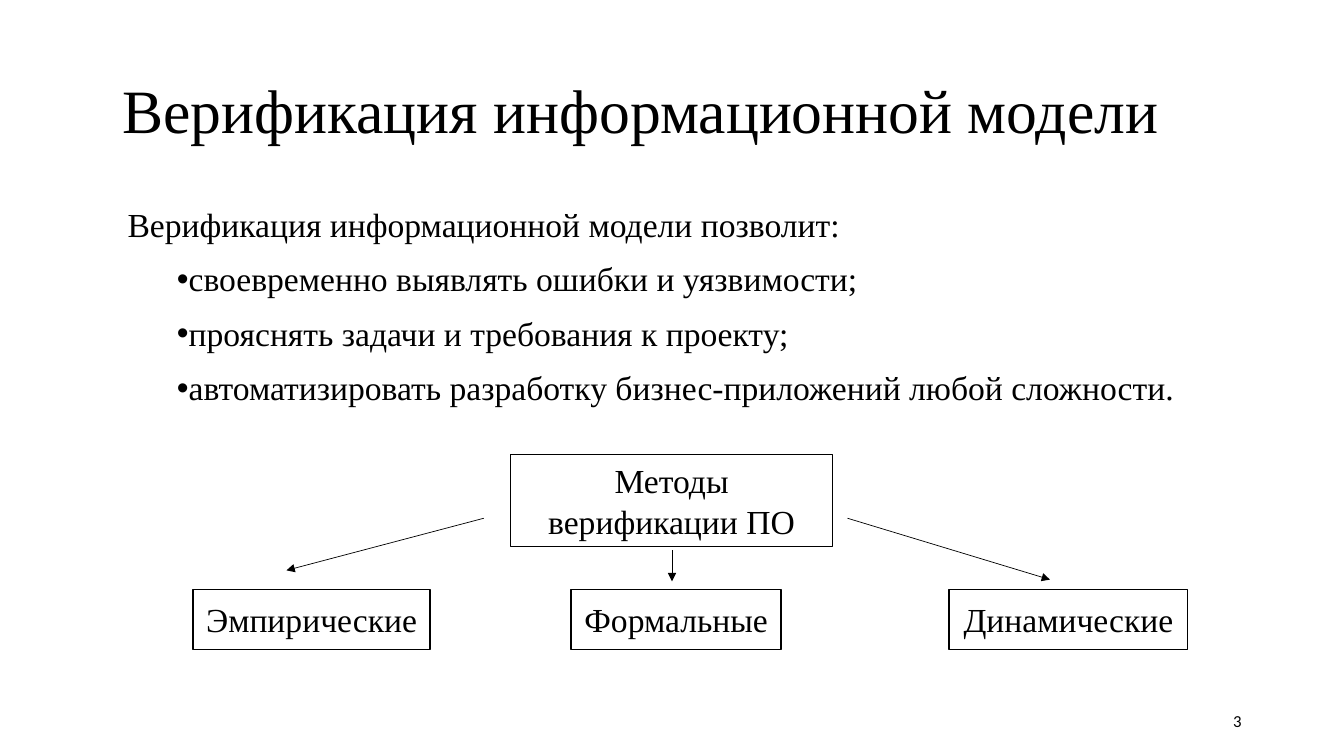
from dataclasses import dataclass

from lxml.etree import SubElement
from pptx import Presentation
from pptx.dml.color import RGBColor
from pptx.enum.shapes import MSO_CONNECTOR, MSO_SHAPE
from pptx.enum.text import MSO_ANCHOR, PP_ALIGN
from pptx.oxml.ns import qn
from pptx.util import Inches, Length, Pt

WIDE, HIGH = Inches(13.33), Inches(7.5)
COLS, ROWS = 160, 90
BLACK, WHITE = "000000", "FFFFFF"
SERIF, SANS = "Times New Roman", "Calibri"


@dataclass
class Area:
    col: float
    row: float
    cols: float
    rows: float


@dataclass
class Box:
    text: str
    area: Area


@dataclass
class Arrow:
    col: float
    row: float
    to_col: float
    to_row: float


TITLE = "Верификация информационной модели"
LEAD = "Верификация информационной модели позволит:"
GOALS = [
    "своевременно выявлять ошибки и уязвимости;",
    "прояснять задачи и требования к проекту;",
    "автоматизировать разработку бизнес-приложений любой сложности.",
]
KINDS = [("Эмпирические", 28.2), ("Формальные", 25), ("Динамические", 28.4)]
BOXES = [Box(name, Area(23 + 45 * i, 70.2, cols, 7.1)) for i, (name, cols) in enumerate(KINDS)]
BOXES.append(Box("Методы верификации ПО", Area(60.8, 54.1, 38.3, 11)))
ARROWS = [
    Arrow(57.6, 61.7, 34.1, 67.9),
    Arrow(100.9, 61.7, 125, 69),
    Arrow(80, 65.5, 80, 69.2),
]


def across(cols: float) -> Length:
    return Length(round(WIDE * cols / COLS))


def down(rows: float) -> Length:
    return Length(round(HIGH * rows / ROWS))


def place(area: Area) -> tuple[Length, Length, Length, Length]:
    return across(area.col), down(area.row), across(area.cols), down(area.rows)


def paint(color, tone: str) -> None:
    color.rgb = RGBColor.from_string(tone)


def write(para, text: str, size: float, face: str = SERIF) -> None:
    run = para.add_run()
    run.text = text
    run.font.size = Pt(size)
    run.font.name = face
    paint(run.font.color, BLACK)


def add_title(slide) -> None:
    title = slide.shapes.title
    title.left, title.top, title.width, title.height = place(Area(13.4, 4.8, 135.6, 17.4))
    frame = title.text_frame
    frame.vertical_anchor = MSO_ANCHOR.MIDDLE
    para = frame.paragraphs[0]
    para.alignment = PP_ALIGN.LEFT
    para.line_spacing = 0.9
    write(para, TITLE, 44)


def add_body(slide) -> None:
    frame = slide.shapes.add_textbox(*place(Area(11, 24.2, 138, 57.1))).text_frame
    frame.word_wrap = True
    for i, text in enumerate([LEAD, *GOALS]):
        para = frame.add_paragraph() if i else frame.paragraphs[0]
        para.alignment = PP_ALIGN.JUSTIFY
        para.line_spacing = 0.9
        para.space_before = Pt(3 if i else 10)
        para.space_after = Pt(10)
        props = para._p.get_or_add_pPr()
        props.set("marL", str(Inches(0.25)))
        props.set("indent", str(Inches(0.49 if i else 0)))
        if i:
            SubElement(props, qn("a:buFont"), typeface="Arial")
            SubElement(props, qn("a:buChar"), char="•")
        write(para, text, 24)


def add_page(slide) -> None:
    frame = slide.shapes.add_textbox(*place(Area(113, 83.4, 36, 4.8))).text_frame
    frame.word_wrap = True
    frame.vertical_anchor = MSO_ANCHOR.MIDDLE
    para = frame.paragraphs[0]
    para.alignment = PP_ALIGN.RIGHT
    write(para, "3", 12, SANS)


def add_box(slide, box: Box) -> None:
    shape = slide.shapes.add_shape(MSO_SHAPE.RECTANGLE, *place(box.area))
    shape.shadow.inherit = False
    shape.fill.solid()
    paint(shape.fill.fore_color, WHITE)
    paint(shape.line.color, BLACK)
    shape.line.width = Pt(1)
    frame = shape.text_frame
    frame.word_wrap = True
    frame.vertical_anchor = MSO_ANCHOR.MIDDLE
    para = frame.paragraphs[0]
    para.alignment = PP_ALIGN.CENTER
    write(para, box.text, 24)


def add_arrow(slide, arrow: Arrow) -> None:
    link = slide.shapes.add_connector(
        MSO_CONNECTOR.STRAIGHT,
        across(arrow.col), down(arrow.row),
        across(arrow.to_col), down(arrow.to_row),
    )
    paint(link.line.color, BLACK)
    link.line.width = Pt(0.5)
    SubElement(link.line._get_or_add_ln(), qn("a:tailEnd"), type="triangle")
    SubElement(link._element.spPr, qn("a:effectLst"))


def main() -> None:
    deck = Presentation()
    deck.slide_width, deck.slide_height = WIDE, HIGH
    slide = deck.slides.add_slide(deck.slide_layouts[5])
    add_title(slide)
    add_body(slide)
    add_page(slide)
    for box in BOXES:
        add_box(slide, box)
    for arrow in ARROWS:
        add_arrow(slide, arrow)
    deck.save("out.pptx")


if __name__ == "__main__":
    main()
